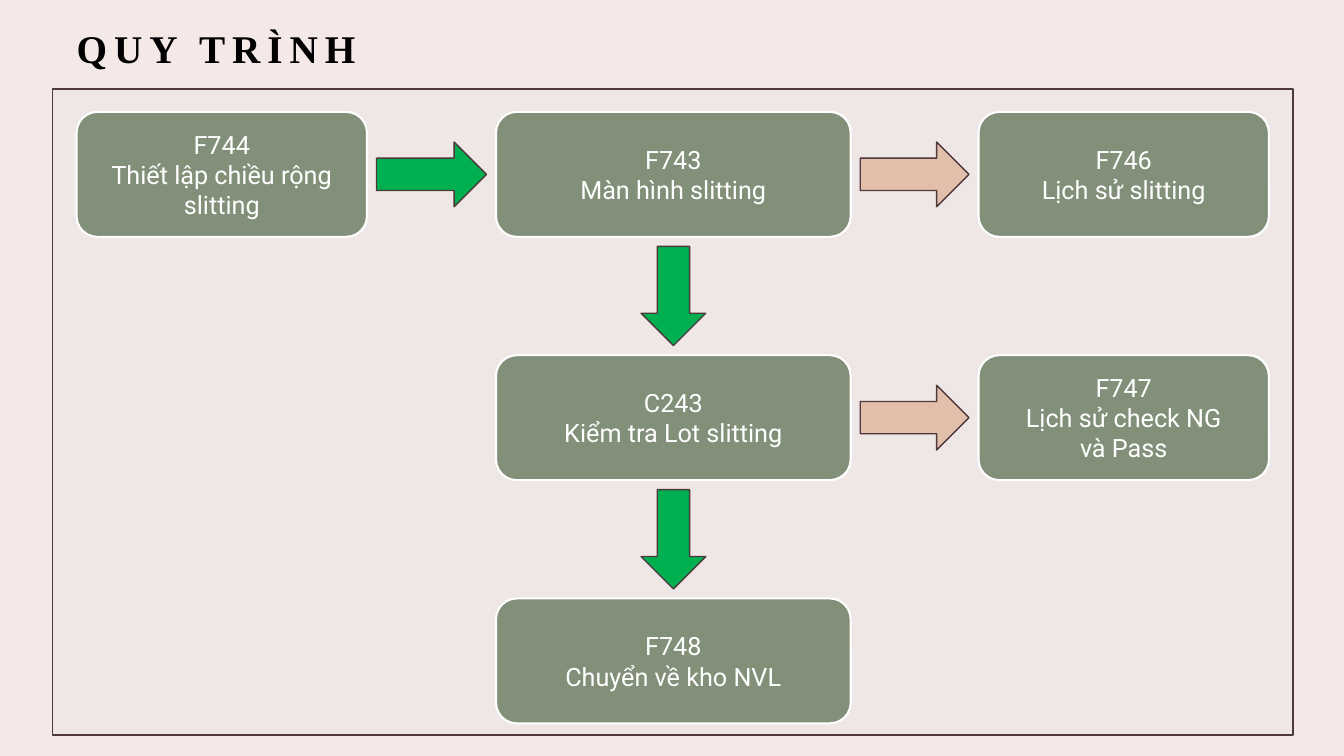
from pptx import Presentation
from pptx.dml.color import RGBColor
from pptx.enum.shapes import MSO_SHAPE
from pptx.enum.text import MSO_ANCHOR, PP_ALIGN
from pptx.util import Cm, Pt

RECTANGLE = MSO_SHAPE.RECTANGLE
ROUNDED = MSO_SHAPE.ROUNDED_RECTANGLE
ARROW = MSO_SHAPE.RIGHT_ARROW
MIDDLE = MSO_ANCHOR.MIDDLE
LEFT = PP_ALIGN.LEFT
CENTER = PP_ALIGN.CENTER

TITLE = "QUY TRÌNH"
# code: (column, row, text); \v breaks a line, \n starts a paragraph
STEPS = {
    "F744": (0, 0, "F744\vThiết lập chiều rộng slitting"),
    "F743": (1, 0, "F743\vMàn hình slitting"),
    "F746": (2, 0, "F746\vLịch sử slitting"),
    "C243": (1, 1, "C243\vKiểm tra Lot slitting"),
    "F747": (2, 1, "F747\vLịch sử check NG\nvà Pass"),
    "F748": (1, 2, "F748\vChuyển về kho NVL"),
}
FLOWS = [
    ("F744", "F743", "main"),
    ("F743", "F746", "history"),
    ("F743", "C243", "main"),
    ("C243", "F747", "history"),
    ("C243", "F748", "main"),
]
COLORS = {
    "background": "F4E9E6", "panel": "EFE6E6", "outline": "4E3839",
    "step": "82907A", "white": "FFFFFF", "title": "000000",
    "main": "00B050", "history": "E2BFAB",
}

# Centimetres
COLUMNS = [(1.93, 7.32), (12.5, 8.94), (24.66, 7.32)]  # left, width
FIRST_ROW, ROW_PITCH, STEP_HEIGHT = 2.82, 6.13, 3.15
ARROW_GAP, ARROW_THICKNESS = 0.24, 1.63


def color(name):
    return RGBColor.from_string(COLORS[name])


def add_block(slide, preset, place, fill, line, line_width):
    block = slide.shapes.add_shape(preset, *(Cm(length) for length in place))
    block.shadow.inherit = False
    block.fill.solid()
    block.fill.fore_color.rgb = color(fill)
    block.line.color.rgb = color(line)
    block.line.width = Pt(line_width)
    return block


def step_place(code):
    column, row, _ = STEPS[code]
    left, width = COLUMNS[column]
    return left, FIRST_ROW + row * ROW_PITCH, width, STEP_HEIGHT


def add_step(slide, code):
    box = add_block(slide, ROUNDED, step_place(code), "step", "white", 1.5)
    frame = box.text_frame
    frame.word_wrap = True
    frame.vertical_anchor = MIDDLE
    frame.text = STEPS[code][2]
    for para in frame.paragraphs:
        para.alignment = CENTER
        para.font.name = "Roboto"
        para.font.size = Pt(18)
        para.font.color.rgb = color("white")


def add_flow(slide, source, target, kind):
    """Centre an arrow in the space between two neighbouring steps."""
    left, top, width, height = step_place(source)
    next_left, next_top, _, _ = step_place(target)
    down = next_top > top
    space = next_top - top - height if down else next_left - left - width
    center_x = left + width / 2 if down else left + width + space / 2
    center_y = top + height + space / 2 if down else top + height / 2
    length = space - 2 * ARROW_GAP
    place = (center_x - length / 2, center_y - ARROW_THICKNESS / 2,
             length, ARROW_THICKNESS)
    arrow = add_block(slide, ARROW, place, kind, "outline", 1)
    arrow.rotation = 90 if down else 0


def add_title(slide):
    title = slide.shapes.title
    title.left, title.top, title.width, title.height = (
        Cm(1.68), Cm(0.18), Cm(31.27), Cm(1.8))
    title.text_frame.text = TITLE
    title.text_frame.vertical_anchor = MIDDLE
    para = title.text_frame.paragraphs[0]
    para.alignment = LEFT
    para.line_spacing = 1.2
    para.font.name = "Times New Roman"
    para.font.size = Pt(28)
    para.font.bold = True
    para.font.color.rgb = color("title")
    # Letter spacing, in hundredths of a point
    para.runs[0].font._element.set("spc", "500")


def main():
    deck = Presentation()
    deck.slide_width, deck.slide_height = Cm(33.87), Cm(19.05)
    slide = deck.slides.add_slide(deck.slide_layouts[5])
    slide.background.fill.solid()
    slide.background.fill.fore_color.rgb = color("background")
    add_title(slide)
    add_block(slide, RECTANGLE, (1.32, 2.24, 31.27, 16.28),
              "panel", "outline", 1)
    for code in STEPS:
        add_step(slide, code)
    for source, target, kind in FLOWS:
        add_flow(slide, source, target, kind)
    deck.save("out.pptx")


if __name__ == "__main__":
    main()
